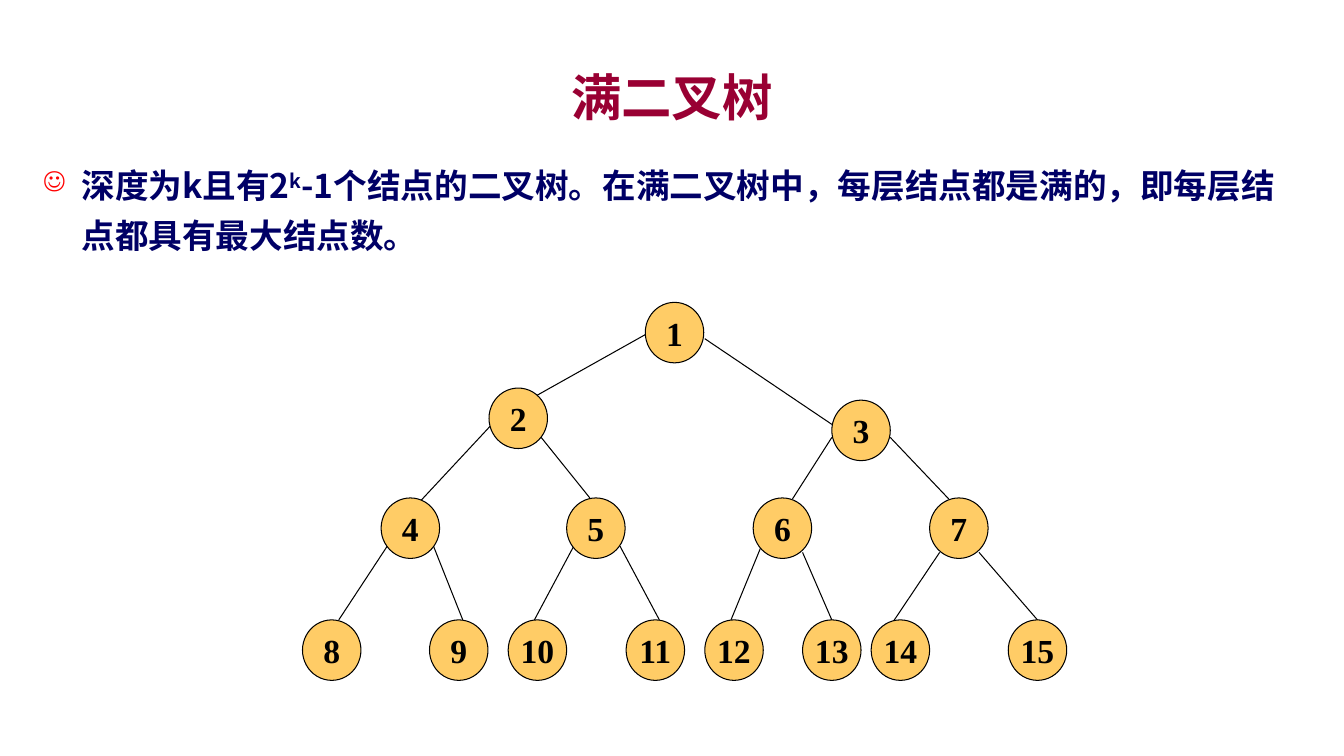
from dataclasses import dataclass

from lxml.etree import SubElement
from pptx import Presentation
from pptx.dml.color import RGBColor
from pptx.enum.shapes import MSO_CONNECTOR as Connector, MSO_SHAPE as Preset
from pptx.enum.text import MSO_ANCHOR as Anchor, PP_ALIGN as Align
from pptx.oxml.ns import qn
from pptx.util import Inches, Pt


@dataclass(frozen=True)
class Theme:
    """Colours, fonts and sizes of the slide."""
    heading: str = "990033"
    body: str = "000066"
    bullet: str = "FF0000"
    node: str = "FFCC66"
    ink: str = "000000"
    text_font: str = "Noto Sans CJK SC"
    node_font: str = "Times New Roman"
    heading_size: int = 36
    body_size: int = 24
    line_width: float = 0.75


THEME = Theme()
NODE_WIDTH, NODE_HEIGHT = 0.58, 0.6
NODES = [
    (3.4, 0),
    (1.85, 0.85), (5.25, 0.97),
    (0.78, 1.94), (2.62, 1.94), (4.47, 1.94), (6.22, 1.94),
    *((left, 3.15) for left in (0, 1.26, 2.04, 3.21, 3.99, 4.96, 5.64, 7)),
]
EDGES = [
    (3.4, 0.32, 2.33, 0.92), (3.99, 0.36, 5.25, 1.21),
    (1.86, 1.23, 1.18, 1.96), (2.36, 1.33, 2.85, 1.94),
    (5.25, 1.34, 4.86, 1.95), (5.83, 1.34, 6.41, 1.95),
    (0.84, 2.42, 0.36, 3.15), (1.3, 2.42, 1.59, 3.15),
    (2.69, 2.42, 2.3, 3.15), (3.15, 2.42, 3.54, 3.15),
    (4.55, 2.42, 4.25, 3.15), (4.96, 2.48, 5.25, 3.15),
    (6.32, 2.48, 5.83, 3.21), (6.71, 2.48, 7.29, 3.15),
]


def add_run(paragraph, text, font, size, color):
    """Append one bold run and return it."""
    run = paragraph.add_run()
    run.text = text
    run.font.name = font
    run.font.size = Pt(size)
    run.font.bold = True
    run.font.color.rgb = RGBColor.from_string(color)
    SubElement(run.font._element, qn("a:ea"), typeface=font)
    return run


def add_frame(slide, box, anchor):
    """Add a wrapping text box and return its text frame."""
    frame = slide.shapes.add_textbox(*map(Inches, box)).text_frame
    frame.word_wrap = True
    frame.vertical_anchor = anchor
    return frame


def add_heading(slide, box):
    """Place the centred slide heading."""
    paragraph = add_frame(slide, box, Anchor.MIDDLE).paragraphs[0]
    paragraph.alignment = Align.CENTER
    add_run(paragraph, "满二叉树", THEME.text_font, THEME.heading_size, THEME.heading)


def add_definition(slide, box):
    """Place the bulleted definition with its raised exponent."""
    paragraph = add_frame(slide, box, Anchor.TOP).paragraphs[0]
    properties = paragraph._p.get_or_add_pPr()
    properties.set("marL", str(Inches(0.38)))
    properties.set("indent", str(-Inches(0.38)))
    bullet_color = SubElement(properties, qn("a:buClr"))
    SubElement(bullet_color, qn("a:srgbClr"), val=THEME.bullet)
    SubElement(properties, qn("a:buSzPct"), val="80000")
    SubElement(properties, qn("a:buChar"), char="☺")
    paragraph.line_spacing = 1.23
    style = THEME.text_font, THEME.body_size, THEME.body
    add_run(paragraph, "深度为k且有2", *style)
    exponent = add_run(paragraph, "k", *style)
    exponent.font._element.set("baseline", "30000")
    add_run(paragraph, "-1个结点的二叉树。在满二叉树中，每层结点都是满的，"
                       "即每层结点都具有最大结点数。", *style)


def set_outline(line):
    """Give a line the tree's stroke."""
    line.color.rgb = RGBColor.from_string(THEME.ink)
    line.width = Pt(THEME.line_width)


def add_edge(tree, x1, y1, x2, y2):
    """Draw a branch between two points."""
    edge = tree.shapes.add_connector(Connector.STRAIGHT, *map(Inches, (x1, y1, x2, y2)))
    set_outline(edge.line)
    SubElement(edge._element.spPr, qn("a:effectLst"))


def add_node(tree, number, left, top):
    """Draw one numbered node."""
    node = tree.shapes.add_shape(
        Preset.OVAL, *map(Inches, (left, top, NODE_WIDTH, NODE_HEIGHT)))
    node.shadow.inherit = False
    node.fill.solid()
    node.fill.fore_color.rgb = RGBColor.from_string(THEME.node)
    set_outline(node.line)
    frame = node.text_frame
    frame.word_wrap = False
    frame.vertical_anchor = Anchor.MIDDLE
    paragraph = frame.paragraphs[0]
    paragraph.alignment = Align.CENTER
    add_run(paragraph, str(number), THEME.node_font, THEME.body_size, THEME.ink)


def add_tree(slide, left, top):
    """Draw the full binary tree from its top-left corner."""
    tree = slide.shapes.add_group_shape()
    for x1, y1, x2, y2 in EDGES:
        add_edge(tree, left + x1, top + y1, left + x2, top + y2)
    for number, (x, y) in enumerate(NODES, start=1):
        add_node(tree, number, left + x, top + y)


def main():
    """Build and save the slide."""
    presentation = Presentation()
    presentation.slide_width = Inches(13.33)
    presentation.slide_height = Inches(7.5)
    slide = presentation.slides.add_slide(presentation.slide_layouts[6])
    add_heading(slide, (1, 0.58, 11.33, 0.75))
    add_definition(slide, (0.33, 1.5, 12.67, 1.33))
    add_tree(slide, 3, 3)
    presentation.save("out.pptx")


if __name__ == "__main__":
    main()
